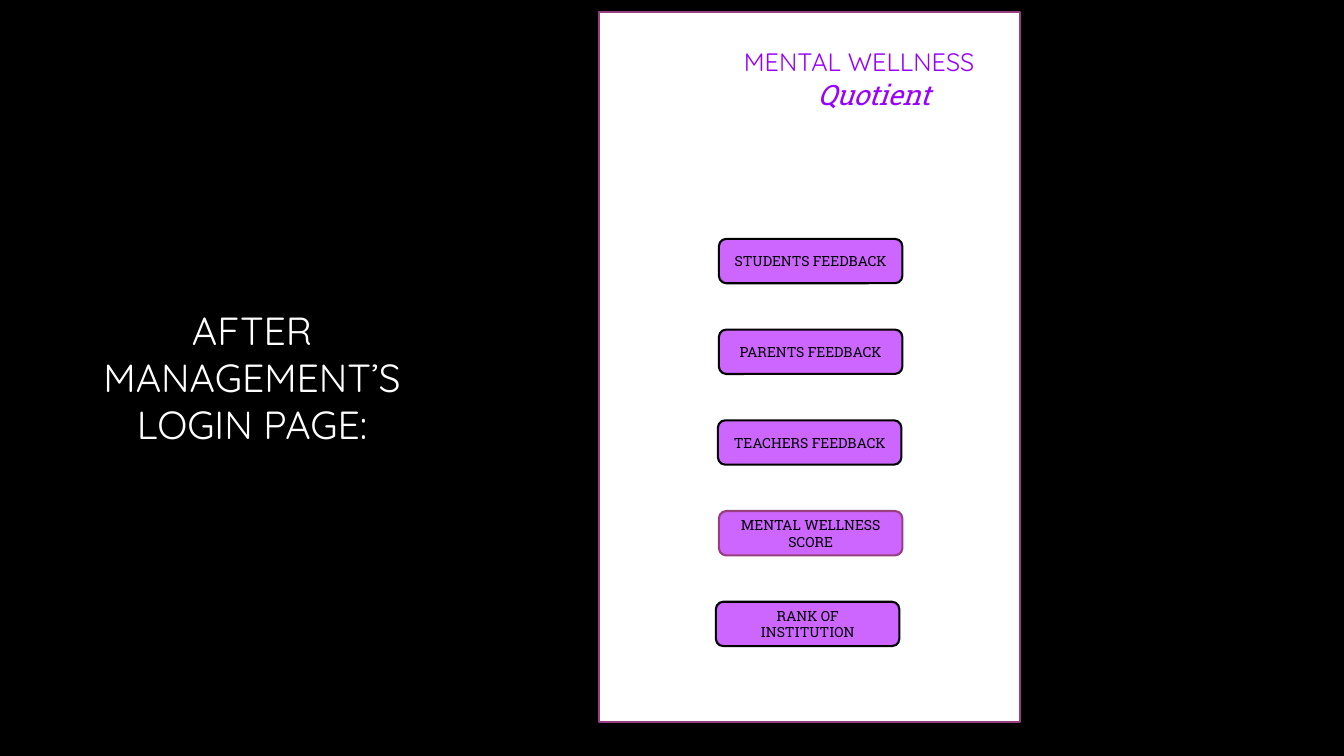
"""Build the management login slide with its phone-style menu."""
from dataclasses import dataclass

from pptx import Presentation
from pptx import util as u
from pptx.dml.color import RGBColor
from pptx.enum import shapes, text


@dataclass(frozen=True)
class Theme:
    """Colours, fonts, type sizes and line width of the deck."""
    black: str = "000000"
    white: str = "FFFFFF"
    plum: str = "98407F"
    violet: str = "9900FF"
    orchid: str = "CC66FF"
    sans: str = "Quicksand"
    slab: str = "Roboto Slab"
    title_size: int = 28
    brand_size: int = 18
    accent_size: int = 20
    button_size: int = 10
    line_width: float = 1.5


THEME = Theme()
BUTTON_SIZE = (1.82, 0.44)
BUTTON_PITCH = 0.9
BUTTONS = [
    ("STUDENTS FEEDBACK", 0, THEME.black),
    ("PARENTS FEEDBACK", 0, THEME.black),
    ("TEACHERS FEEDBACK", -0.01, THEME.black),
    ("MENTAL WELLNESS SCORE", 0, THEME.plum),
    ("RANK OF INSTITUTION", -0.03, THEME.black),
]


def inches(*lengths):
    """Convert lengths in inches to slide units."""
    return [u.Inches(length) for length in lengths]


def assign(target, values):
    """Set each attribute of the target from a dict of values."""
    for name, value in values.items():
        setattr(target, name, value)


def write(shape, words, font, size, color, align, frame_format, italic=False):
    """Put one formatted paragraph into a shape."""
    frame = shape.text_frame
    assign(frame, {"word_wrap": True, **frame_format})
    para = frame.paragraphs[0]
    para.alignment = align
    span = para.add_run()
    span.text = words
    assign(span.font, {"name": font, "size": u.Pt(size), "italic": italic})
    span.font.color.rgb = RGBColor.from_string(color)


def add_box(page, kind, box, fill, line):
    """Add a filled, outlined shape without a shadow."""
    shape = page.shapes.add_shape(kind, *inches(*box))
    shape.shadow.inherit = False
    shape.fill.solid()
    shape.fill.fore_color.rgb = RGBColor.from_string(fill)
    shape.line.color.rgb = RGBColor.from_string(line)
    shape.line.width = u.Pt(THEME.line_width)
    return shape


def add_title(page, box):
    """Place the slide title in the given box."""
    title = page.shapes.title
    assign(title, dict(zip(("left", "top", "width", "height"), inches(*box))))
    write(title, "AFTER MANAGEMENT’S LOGIN PAGE:", THEME.sans, THEME.title_size,
          THEME.white, text.PP_ALIGN.CENTER,
          {"vertical_anchor": text.MSO_ANCHOR.TOP,
           "auto_size": text.MSO_AUTO_SIZE.SHAPE_TO_FIT_TEXT})


def add_brand(page, left, top):
    """Group the two lines of the app name from the given corner."""
    group = page.shapes.add_group_shape()
    lines = [
        ("MENTAL WELLNESS", THEME.sans, THEME.brand_size, False, (0, 0, 2.84, 0.4)),
        ("Quotient", THEME.slab, THEME.accent_size, True, (0.73, 0.31, 1.69, 0.44)),
    ]
    for words, font, size, italic, (dx, dy, width, height) in lines:
        label = group.shapes.add_textbox(*inches(left + dx, top + dy, width, height))
        write(label, words, font, size, THEME.violet, text.PP_ALIGN.LEFT,
              {"auto_size": text.MSO_AUTO_SIZE.SHAPE_TO_FIT_TEXT}, italic)


def add_menu(page, left, top):
    """Stack the menu buttons at an even pitch from the given corner."""
    for row, (words, nudge, line) in enumerate(BUTTONS):
        box = (left + nudge, top + row * BUTTON_PITCH, *BUTTON_SIZE)
        button = add_box(page, shapes.MSO_SHAPE.ROUNDED_RECTANGLE, box,
                         THEME.orchid, line)
        write(button, words, THEME.slab, THEME.button_size, THEME.black,
              text.PP_ALIGN.CENTER, {"vertical_anchor": text.MSO_ANCHOR.MIDDLE})


def add_screen(page, box):
    """Draw the app screen with its name and menu inside the given box."""
    left, top = box[:2]
    add_box(page, shapes.MSO_SHAPE.RECTANGLE, box, THEME.white, THEME.plum)
    add_brand(page, left + 1.34, top + 0.29)
    add_menu(page, left + 1.19, top + 2.25)


def main():
    """Create the deck and save it."""
    deck = Presentation()
    assign(deck, {"slide_width": u.Inches(13.33), "slide_height": u.Inches(7.5)})
    page = deck.slides.add_slide(deck.slide_layouts.get_by_name("Title Only"))
    page.background.fill.solid()
    page.background.fill.fore_color.rgb = RGBColor.from_string(THEME.black)
    add_title(page, (0.74, 2.99, 3.52, 1.51))
    add_screen(page, (5.94, 0.12, 4.18, 7.04))
    deck.save("out.pptx")


if __name__ == "__main__":
    main()
